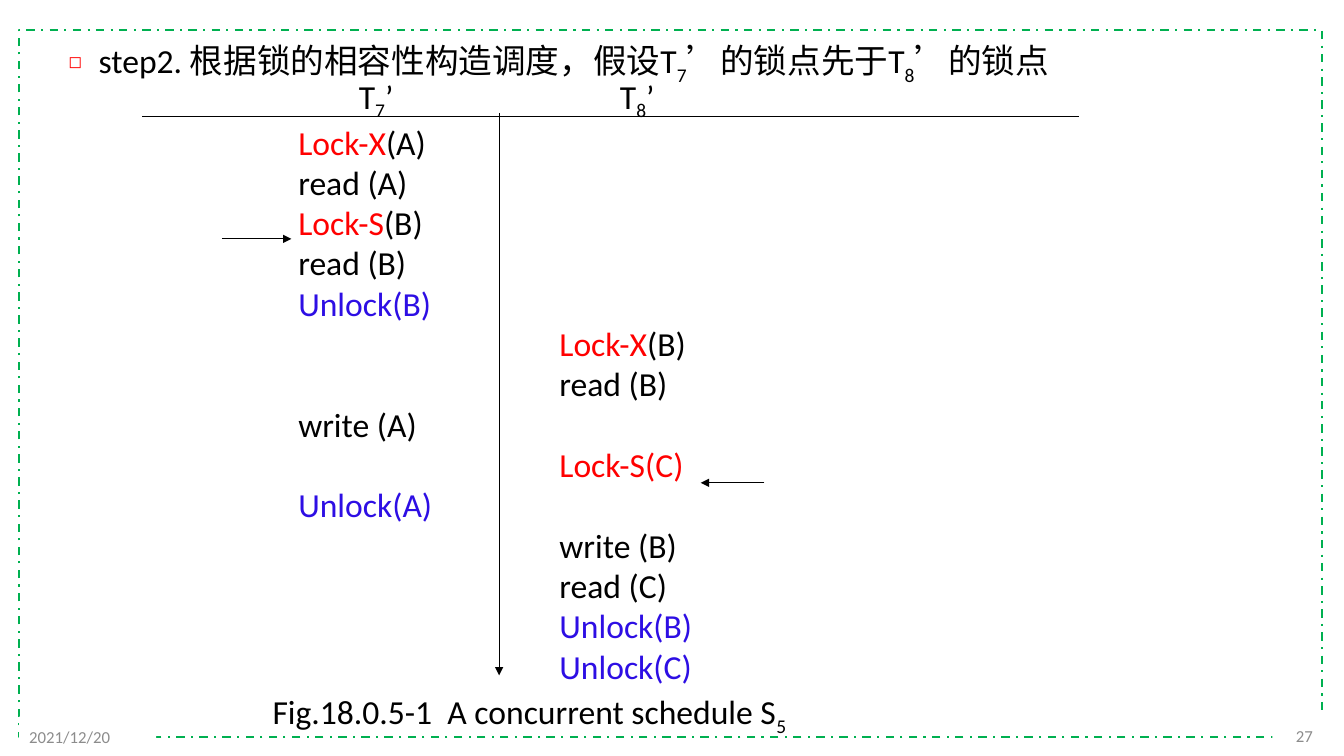
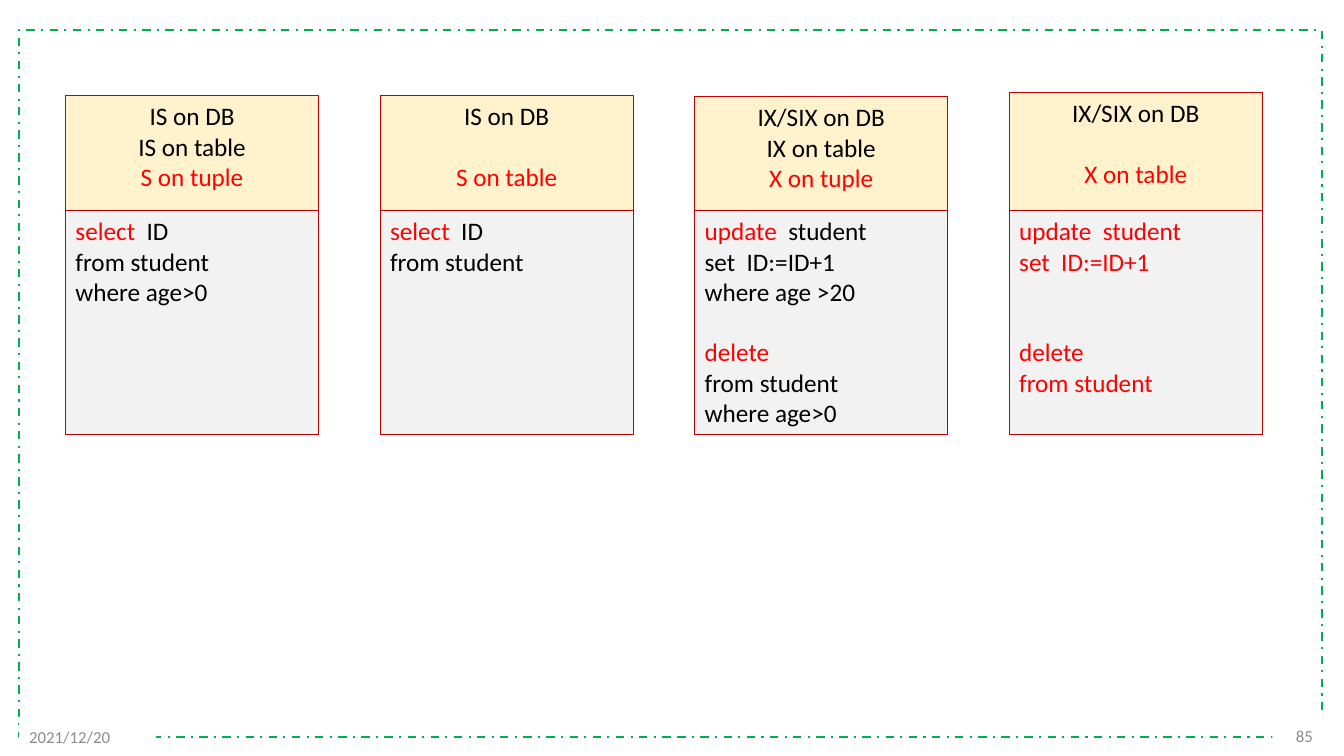
from dataclasses import dataclass
from typing import Optional

from lxml import etree
from pptx import Presentation
from pptx.dml.color import RGBColor
from pptx.enum.dml import MSO_LINE
from pptx.enum.shapes import MSO_CONNECTOR, MSO_SHAPE
from pptx.enum.text import MSO_ANCHOR, PP_ALIGN
from pptx.oxml.ns import qn
from pptx.util import Inches, Pt

RECTANGLE = MSO_SHAPE.RECTANGLE
STRAIGHT = MSO_CONNECTOR.STRAIGHT
DASH_DOT = MSO_LINE.DASH_DOT
TOP, MIDDLE = MSO_ANCHOR.TOP, MSO_ANCHOR.MIDDLE
LEFT, CENTER, RIGHT = PP_ALIGN.LEFT, PP_ALIGN.CENTER, PP_ALIGN.RIGHT

FONT = "Calibri"
BLACK, WHITE, GRAY = "000000", "FFFFFF", "8C8C8C"
RED, BLUE, GREEN = "FF0000", "2D0EE4", "00B050"
DARK_RED, CREAM, PALE_GRAY = "C00000", "FFF2CC", "F2F2F2"
LINE_SPACING = 1.2
DATE = "2021/12/20"


@dataclass(frozen=True)
class Piece:
    """A stretch of text with one look."""
    text: str
    color: str = BLACK
    subscript: bool = False


@dataclass(frozen=True)
class Line:
    """A paragraph, with the number of empty rows above it."""
    pieces: tuple[Piece, ...]
    rows_above: int = 0
    indent: float = 0
    bullet: str = ""


@dataclass(frozen=True)
class Card:
    """Locks on top and the statements that need them below."""
    locks: tuple[Line, ...]
    statements: tuple[Line, ...]
    top: float = 0.95


@dataclass(frozen=True)
class Rule:
    """A straight line, with or without an arrowhead at its end."""
    start: tuple[float, float]
    end: tuple[float, float]
    arrow: bool = True


def plain(text: str, color: str = BLACK, rows_above: int = 0) -> Line:
    """Make a line of one colour."""
    return Line((Piece(text, color),), rows_above)


def marked(keyword: str, rest: str, rows_above: int = 0) -> Line:
    """Make a line that starts with a red keyword."""
    return Line((Piece(keyword, RED), Piece(rest)), rows_above)


def heading(number: str) -> Line:
    """Make the heading of a transaction column."""
    return Line((Piece("T"), Piece(number, subscript=True), Piece("’")), indent=0.6)


STEP = Line((Piece("step2. 根据锁的相容性构造调度，假设T"), Piece("7", subscript=True),
             Piece("’的锁点先于T"), Piece("8", subscript=True), Piece("’的锁点")),
            indent=0.69, bullet="◻")
CAPTION = Line((Piece("Fig.18.0.5-1  A concurrent schedule S"), Piece("5", subscript=True)))

FIRST_TRANSACTION = (
    heading("7"),
    marked("Lock-X", "(A)"),
    plain("read (A)"),
    marked("Lock-S", "(B)"),
    plain("read (B)"),
    plain("Unlock(B)", BLUE),
    plain("write (A)", rows_above=2),
    plain("Unlock(A)", BLUE, rows_above=1),
)
SECOND_TRANSACTION = (
    heading("8"),
    marked("Lock-X", "(B)", rows_above=5),
    plain("read (B)"),
    plain("Lock-S(C)", RED, rows_above=1),
    plain("write (B)", rows_above=1),
    plain("read (C)"),
    plain("Unlock(B)", BLUE),
    plain("Unlock(C)", BLUE),
)
RULES = (
    Rule((1.41, 1.16), (10.7, 1.16), arrow=False),
    Rule((2.2, 2.37), (2.89, 2.37)),
    Rule((7.58, 4.79), (6.95, 4.79)),
    Rule((4.95, 1.12), (4.95, 6.7)),
)

CARDS = (
    Card((plain("IS on DB"), plain("IS on table"), plain("S on tuple", RED)),
         (marked("select", "  ID"), plain("from student"), plain("where age>0"))),
    Card((plain("IS on DB"), plain("S on table", RED, rows_above=1)),
         (marked("select", "  ID"), plain("from student"))),
    Card((plain("IX/SIX on DB"), plain("IX on table"), plain("X on tuple", RED)),
         (marked("update", "  student"), plain("set  ID:=ID+1"), plain("where age >20"),
          plain("delete", RED, rows_above=1), plain("from student"), plain("where age>0")),
         top=0.96),
    Card((plain("IX/SIX on DB"), plain("X on table", RED, rows_above=1)),
         (plain("update  student", RED), plain("set  ID:=ID+1", RED),
          plain("delete", RED, rows_above=2), plain("from student", RED)),
         top=0.92),
)
CARD_LEFT, CARD_WIDTH, CARD_PITCH = 0.65, 2.51, 3.12
STATEMENTS_TOP, STATEMENTS_HEIGHT = 2.09, 2.22


def rgb(color: str) -> RGBColor:
    """Turn a hex string into a colour."""
    return RGBColor.from_string(color)


def add_bullet(paragraph, character: str) -> None:
    """Give a paragraph a small red bullet."""
    properties = paragraph._p.get_or_add_pPr()
    properties.set("indent", str(Inches(-0.3)))
    bullet_color = etree.SubElement(properties, qn("a:buClr"))
    etree.SubElement(bullet_color, qn("a:srgbClr"), val=RED)
    etree.SubElement(properties, qn("a:buSzPct"), val="50000")
    etree.SubElement(properties, qn("a:buChar"), char=character)


def write_lines(shape, lines: tuple[Line, ...], size: float, align=LEFT, anchor=TOP) -> None:
    """Write lines into a shape."""
    frame = shape.text_frame
    frame.word_wrap = True
    frame.vertical_anchor = anchor
    for index, line in enumerate(lines):
        paragraph = frame.add_paragraph() if index else frame.paragraphs[0]
        paragraph.alignment = align
        if line.indent:
            paragraph._p.get_or_add_pPr().set("marL", str(Inches(line.indent)))
        if line.bullet:
            add_bullet(paragraph, line.bullet)
        if line.rows_above:
            paragraph.space_before = Pt(line.rows_above * size * LINE_SPACING)
        paragraph.font.name = FONT
        paragraph.font.size = Pt(size)
        colors = {piece.color for piece in line.pieces}
        if len(colors) == 1:
            paragraph.font.color.rgb = rgb(line.pieces[0].color)
        for piece in line.pieces:
            run = paragraph.add_run()
            run.text = piece.text
            if len(colors) > 1:
                run.font.color.rgb = rgb(piece.color)
            if piece.subscript:
                run._r.get_or_add_rPr().set("baseline", "-25000")


def add_text(slide, left: float, top: float, width: float, height: float,
             lines: tuple[Line, ...], align=LEFT) -> None:
    """Add a text box in the size of the schedule."""
    box = slide.shapes.add_textbox(Inches(left), Inches(top), Inches(width), Inches(height))
    write_lines(box, lines, 24, align)


def add_box(slide, left: float, top: float, width: float, height: float,
            fill: Optional[str] = None, line: Optional[str] = None, line_width: float = 0.75):
    """Add a rectangle without a shadow."""
    box = slide.shapes.add_shape(RECTANGLE, Inches(left), Inches(top),
                                 Inches(width), Inches(height))
    box.shadow.inherit = False
    if fill:
        box.fill.solid()
        box.fill.fore_color.rgb = rgb(fill)
    else:
        box.fill.background()
    if line:
        box.line.color.rgb = rgb(line)
        box.line.width = Pt(line_width)
    else:
        box.line.fill.background()
    return box


def add_rule(slide, rule: Rule) -> None:
    """Draw a thin black line or arrow."""
    connector = slide.shapes.add_connector(STRAIGHT, *map(Inches, rule.start + rule.end))
    connector.line.color.rgb = rgb(BLACK)
    connector.line.width = Pt(0.75)
    properties = connector._element.spPr
    if rule.arrow:
        etree.SubElement(properties.find(qn("a:ln")), qn("a:tailEnd"), type="triangle")
    etree.SubElement(properties, qn("a:effectLst"))


def add_framed_slide(presentation, number: int):
    """Add a blank slide with the dashed frame, date and number."""
    slide = presentation.slides.add_slide(presentation.slide_layouts[6])
    border = add_box(slide, 0.19, 0.3, 12.92, 7.01, line=GREEN, line_width=1.5)
    border.line.dash_style = DASH_DOT
    number_box = add_box(slide, 12.62, 7.1, 0.5, 0.4, fill=WHITE)
    write_lines(number_box, (plain(str(number), GRAY),), 12, RIGHT, MIDDLE)
    date_box = add_box(slide, 0.19, 7.11, 1.36, 0.4, fill=WHITE)
    write_lines(date_box, (plain(DATE, GRAY),), 12, LEFT, MIDDLE)
    return slide


def add_card(slide, left: float, card: Card) -> None:
    """Draw a lock header above its statements."""
    statements = add_box(slide, left, STATEMENTS_TOP, CARD_WIDTH, STATEMENTS_HEIGHT,
                         PALE_GRAY, DARK_RED)
    write_lines(statements, card.statements, 18)
    locks = add_box(slide, left, card.top, CARD_WIDTH, STATEMENTS_TOP - card.top,
                    CREAM, DARK_RED)
    write_lines(locks, card.locks, 18, CENTER)


def build_schedule_slide(presentation) -> None:
    """Build the slide with the concurrent schedule."""
    slide = add_framed_slide(presentation, 27)
    add_text(slide, 0.19, 0.35, 12.59, 0.5, (STEP,))
    add_text(slide, 2.86, 0.7, 2.15, 4.95, FIRST_TRANSACTION)
    add_text(slide, 5.45, 0.7, 2.15, 6.16, SECOND_TRANSACTION)
    for rule in RULES:
        add_rule(slide, rule)
    add_text(slide, 2.29, 6.81, 5.92, 0.5, (CAPTION,), CENTER)


def build_locks_slide(presentation) -> None:
    """Build the slide with the locks of each statement."""
    slide = add_framed_slide(presentation, 85)
    for index, card in enumerate(CARDS):
        add_card(slide, CARD_LEFT + index * CARD_PITCH, card)


def main() -> None:
    """Build and save the presentation."""
    presentation = Presentation()
    presentation.slide_width = Inches(13.33)
    presentation.slide_height = Inches(7.5)
    build_schedule_slide(presentation)
    build_locks_slide(presentation)
    presentation.save("out.pptx")


if __name__ == "__main__":
    main()
